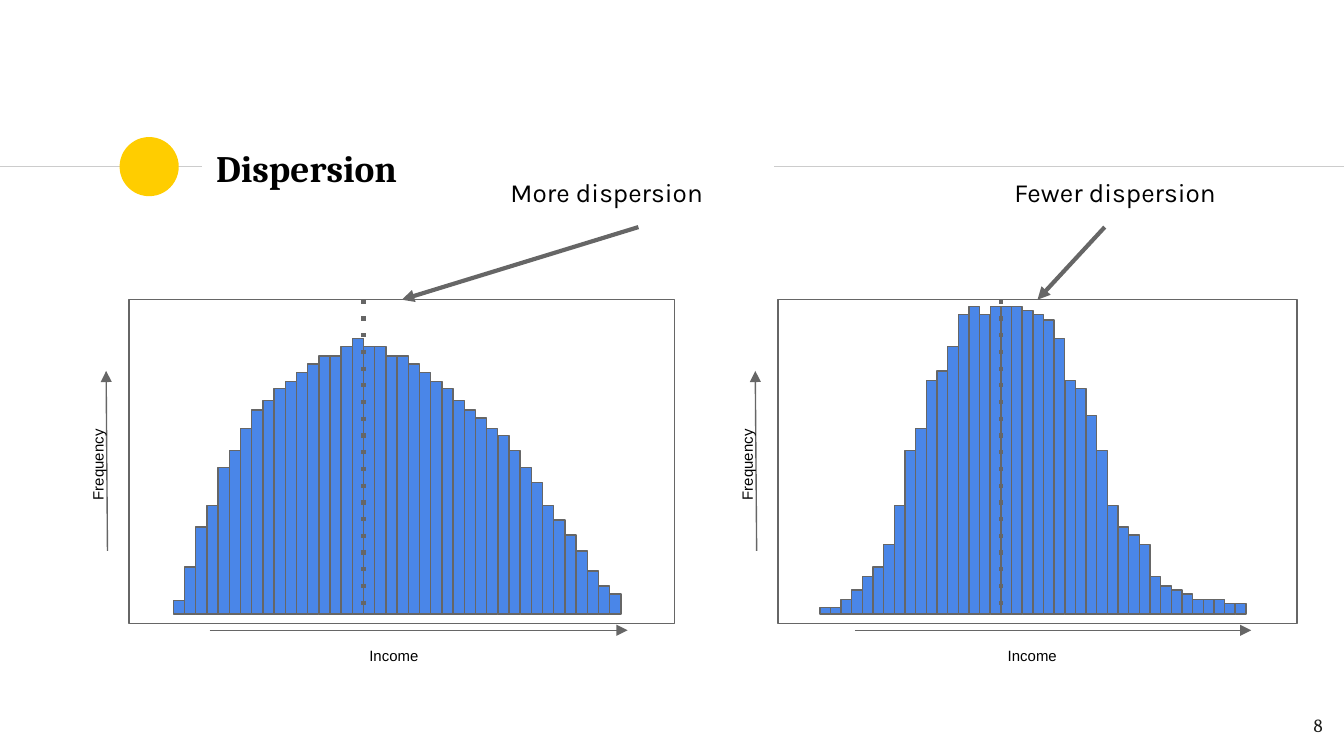
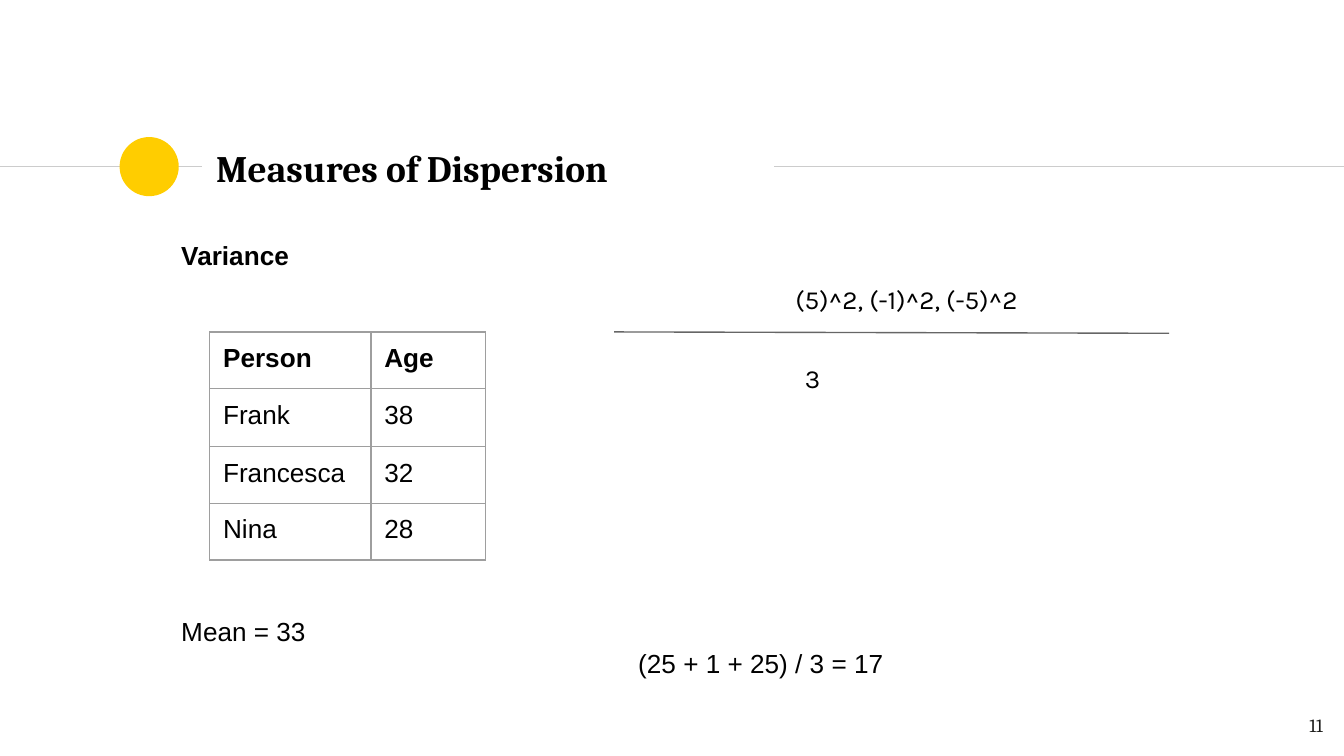
"""Build two slides on dispersion: a pair of histograms and a variance example."""
from dataclasses import dataclass

from pptx import Presentation
from pptx.dml.color import RGBColor
from pptx.enum.shapes import MSO_CONNECTOR, MSO_SHAPE
from pptx.enum.text import MSO_ANCHOR, PP_ALIGN
from pptx.oxml.ns import qn
from pptx.util import Inches, Pt
from lxml import etree

STRAIGHT = MSO_CONNECTOR.STRAIGHT
RECTANGLE, OVAL = MSO_SHAPE.RECTANGLE, MSO_SHAPE.OVAL
TOP, MIDDLE = MSO_ANCHOR.TOP, MSO_ANCHOR.MIDDLE
LEFT, RIGHT = PP_ALIGN.LEFT, PP_ALIGN.RIGHT
TOP_SITE, BOTTOM_SITE = 0, 2


@dataclass(frozen=True)
class Theme:
    black: str = "000000"
    number: str = "1D1D1B"
    accent: str = "FFCD00"
    rule: str = "CCCCCC"
    bar: str = "4A86E8"
    outline: str = "666666"
    grid: str = "9E9E9E"
    heading_font: str = "Cambria"
    body_font: str = "Arial"
    label_font: str = "Karla"
    title_size: float = 20
    body_size: float = 14
    number_size: float = 10
    axis_size: float = 8
    thin: float = 0.75
    thick: float = 2.25
    inset: float = 0.1
    small_text_inset: float = 0.12


@dataclass(frozen=True)
class Histogram:
    label: str
    label_left: float
    arrow_start: tuple
    frame_left: float
    frame_width: float
    bars_left: float
    bars_width: float
    income_axis: tuple
    income_left: float
    heights: tuple


THEME = Theme()
FRAME_TOP, FRAME_HEIGHT = 2.23, 2.41
BASELINE = 4.57
BARS_BEFORE_MEAN = 17

HISTOGRAMS = (
    Histogram(
        "More dispersion", 3.7, None, 0.96, 4.06, 1.29, 3.33, (1.56, 4.67), 2.65,
        (0.1, 0.35, 0.65, 0.81, 1.09, 1.22, 1.38, 1.52, 1.59, 1.68,
         1.73, 1.8, 1.86, 1.92, 1.92, 1.99, 2.05, 1.99, 1.99, 1.92,
         1.92, 1.86, 1.8, 1.73, 1.68, 1.59, 1.52, 1.46, 1.38, 1.33,
         1.22, 1.09, 0.98, 0.81, 0.7, 0.59, 0.47, 0.32, 0.21, 0.15)),
    Histogram(
        "Fewer dispersion", 7.45, (8.22, 1.69), 5.79, 3.86, 6.1, 3.17, (6.36, 9.31), 7.4,
        (0.05, 0.05, 0.11, 0.18, 0.28, 0.35, 0.52, 0.81, 1.22, 1.38,
         1.74, 1.81, 1.99, 2.23, 2.29, 2.23, 2.29, 2.29, 2.29, 2.26,
         2.23, 2.19, 2.05, 1.74, 1.68, 1.48, 1.22, 0.81, 0.65, 0.59,
         0.52, 0.28, 0.21, 0.18, 0.15, 0.11, 0.11, 0.11, 0.08, 0.08)),
)

AGES = (("Person", "Age"), ("Frank", "38"), ("Francesca", "32"), ("Nina", "28"))


def color(value):
    """Turn a hexadecimal value into a colour."""
    return RGBColor.from_string(value)


def set_insets(target):
    """Give a text frame or a table cell equal margins."""
    target.margin_left = target.margin_right = Inches(THEME.inset)
    target.margin_top = target.margin_bottom = Inches(THEME.inset)


def format_paragraph(paragraph, size, font, ink=THEME.black, bold=False):
    """Format every run of a paragraph."""
    for run in paragraph.runs:
        run.font.size = Pt(size)
        run.font.name = font
        run.font.bold = bold
        run.font.color.rgb = color(ink)


def indent(paragraph, inches):
    """Move a paragraph in from the left margin."""
    properties = paragraph._p.get_or_add_pPr()
    properties.set("marL", str(Inches(inches)))
    properties.set("indent", "0")


def add_text(slide, text, box, size, font, ink=THEME.black, bold=False,
             align=LEFT, anchor=TOP):
    """Add a wrapped text box and return it."""
    shape = slide.shapes.add_textbox(*map(Inches, box))
    frame = shape.text_frame
    frame.word_wrap = True
    frame.vertical_anchor = anchor
    set_insets(frame)
    frame.text = text
    for paragraph in frame.paragraphs:
        paragraph.alignment = align
        format_paragraph(paragraph, size, font, ink, bold)
    return shape


def add_small_text(slide, text, box, size, font, ink=THEME.black, align=LEFT):
    """Add a text box for small type that sits close to its lower edge."""
    shape = add_text(slide, text, box, size, font, ink, align=align)
    shape.text_frame.margin_top = Inches(THEME.small_text_inset)
    shape.text_frame.margin_bottom = 0
    return shape


def add_box(slide, kind, box, fill=None, line=None):
    """Add a preset shape with optional fill and outline."""
    shape = slide.shapes.add_shape(kind, *map(Inches, box))
    shape.shadow.inherit = False
    if fill:
        shape.fill.solid()
        shape.fill.fore_color.rgb = color(fill)
    else:
        shape.fill.background()
    if line:
        shape.line.color.rgb = color(line)
        shape.line.width = Pt(THEME.thin)
    else:
        shape.line.fill.background()
    return shape


def add_line(slide, start, end, ink=THEME.outline, width=THEME.thin,
             dash=None, arrow=False):
    """Add a straight line, optionally dashed or with an arrowhead."""
    connector = slide.shapes.add_connector(STRAIGHT, *map(Inches, (*start, *end)))
    connector.line.color.rgb = color(ink)
    connector.line.width = Pt(width)
    outline = connector.line._get_or_add_ln()
    if dash:
        etree.SubElement(outline, qn("a:prstDash"), val=dash)
    if arrow:
        etree.SubElement(outline, qn("a:tailEnd"), type="triangle")
    etree.SubElement(connector._element.spPr, qn("a:effectLst"))
    return connector


def add_base_slide(presentation, title, number):
    """Add a slide with the title band and the page number."""
    slide = presentation.slides.add_slide(presentation.slide_layouts[6])
    for left, right in ((0, 1.5), (5.76, 10)):
        add_line(slide, (left, 1.24), (right, 1.24), THEME.rule)
    add_box(slide, OVAL, (0.89, 1.02, 0.44, 0.44), THEME.accent)
    add_text(slide, title, (1.51, 1.01, 4.24, 0.48), THEME.title_size,
             THEME.heading_font, bold=True, anchor=MIDDLE)
    add_small_text(slide, number, (9.34, 5.19, 0.6, 0.43), THEME.number_size,
                   THEME.heading_font, THEME.number, RIGHT)
    return slide


def add_axes(slide, histogram):
    """Add the axis arrows and their names."""
    axis_left = histogram.frame_left - 0.16
    add_line(slide, (axis_left, 4.1), (axis_left - 0.01, 2.76), arrow=True)
    start, end = histogram.income_axis
    add_line(slide, (start, 4.69), (end, 4.69), arrow=True)
    add_small_text(slide, "Income", (histogram.income_left, 4.69, 1.7, 0.28),
                   THEME.axis_size, THEME.body_font)
    name = add_small_text(slide, "Frequency",
                          (histogram.frame_left - 0.68, 3.31, 0.77, 0.25),
                          THEME.axis_size, THEME.body_font)
    name.rotation = 270


def add_histogram(slide, histogram):
    """Add a framed histogram with its mean line and callout."""
    frame = add_box(slide, RECTANGLE, (histogram.frame_left, FRAME_TOP,
                                       histogram.frame_width, FRAME_HEIGHT),
                    line=THEME.outline)
    add_axes(slide, histogram)
    pitch = histogram.bars_width / len(histogram.heights)
    for index, height in enumerate(histogram.heights):
        add_box(slide, RECTANGLE, (histogram.bars_left + index * pitch,
                                   BASELINE - height, pitch, height),
                THEME.bar, THEME.outline)
    mean = histogram.bars_left + BARS_BEFORE_MEAN * pitch
    add_line(slide, (mean, FRAME_TOP), (mean, BASELINE), width=THEME.thick, dash="dot")
    label = add_text(slide, histogram.label, (histogram.label_left, 1.21, 2.1, 0.48),
                     THEME.body_size, THEME.label_font)
    arrow = add_line(slide, histogram.arrow_start or (0, 0), (0, 0),
                     width=THEME.thick, arrow=True)
    if histogram.arrow_start is None:
        arrow.begin_connect(label, BOTTOM_SITE)
    arrow.end_connect(frame, TOP_SITE)


def set_borders(cell):
    """Draw a thin line on all sides of a table cell."""
    properties = cell._tc.get_or_add_tcPr()
    for side in ("lnL", "lnR", "lnT", "lnB"):
        line = etree.SubElement(properties, qn(f"a:{side}"), w=str(Pt(THEME.thin)))
        fill = etree.SubElement(line, qn("a:solidFill"))
        etree.SubElement(fill, qn("a:srgbClr"), val=THEME.grid)


def add_age_table(slide):
    """Add the table of persons and ages."""
    widths, heights = (1.2, 0.85), (0.42, 0.43, 0.42, 0.42)
    box = (1.56, 2.47, sum(widths), sum(heights))
    table = slide.shapes.add_table(len(heights), len(widths), *map(Inches, box)).table
    table.first_row = table.horz_banding = False
    for column, width in zip(table.columns, widths):
        column.width = Inches(width)
    for index, (row, height, values) in enumerate(zip(table.rows, heights, AGES)):
        row.height = Inches(height)
        for cell, value in zip(row.cells, values):
            cell.text_frame.text = value
            set_insets(cell)
            set_borders(cell)
            cell.fill.background()
            paragraph = cell.text_frame.paragraphs[0]
            paragraph.line_spacing = 0.95
            format_paragraph(paragraph, THEME.body_size, THEME.body_font, bold=index == 0)


def add_variance_text(slide):
    """Add the heading, the mean and the result in one text box."""
    body = add_text(slide, "Variance\nMean = 33\n(25 + 1 + 25) / 3 = 17",
                    (1.25, 1.68, 7.31, 3.46), THEME.body_size, THEME.body_font)
    heading, mean, result = body.text_frame.paragraphs
    heading.runs[0].font.bold = True
    mean.space_before = Pt(185)
    indent(result, 3.4)


def add_fraction(slide):
    """Add the squared deviations over their count."""
    add_line(slide, (4.57, 2.47), (8.7, 2.48))
    squares = add_text(slide, "(5)^2, (-1)^2, (-5)^2", (3.97, 2.01, 5.65, 0.33),
                       THEME.body_size, THEME.label_font)
    indent(squares.text_frame.paragraphs[0], 1.85)
    add_text(slide, "3", (5.89, 2.6, 1.8, 0.33), THEME.body_size, THEME.label_font)


def main():
    """Build and save the presentation."""
    presentation = Presentation()
    presentation.slide_width = Inches(10)
    presentation.slide_height = Inches(10 * 9 / 16)

    slide = add_base_slide(presentation, "Dispersion", "8")
    for histogram in HISTOGRAMS:
        add_histogram(slide, histogram)

    slide = add_base_slide(presentation, "Measures of Dispersion", "11")
    add_variance_text(slide)
    add_age_table(slide)
    add_fraction(slide)

    presentation.save("out.pptx")


if __name__ == "__main__":
    main()
